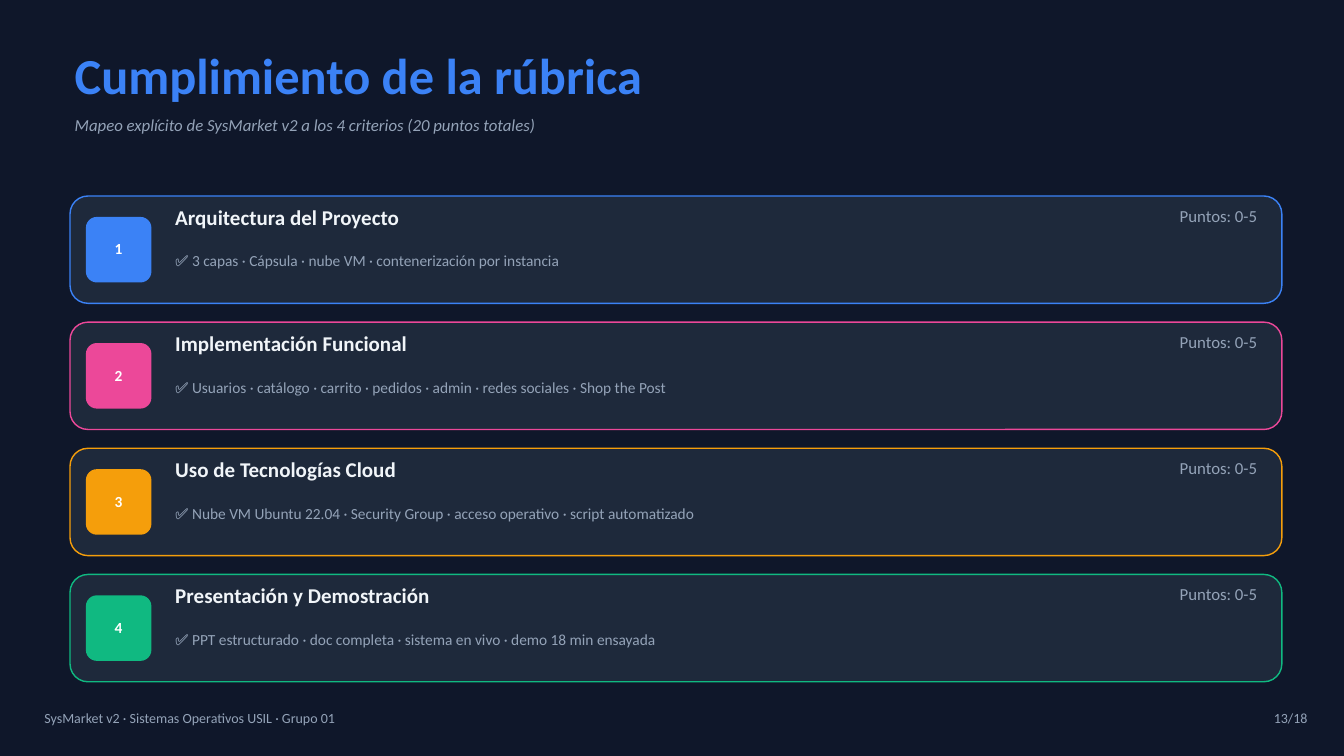
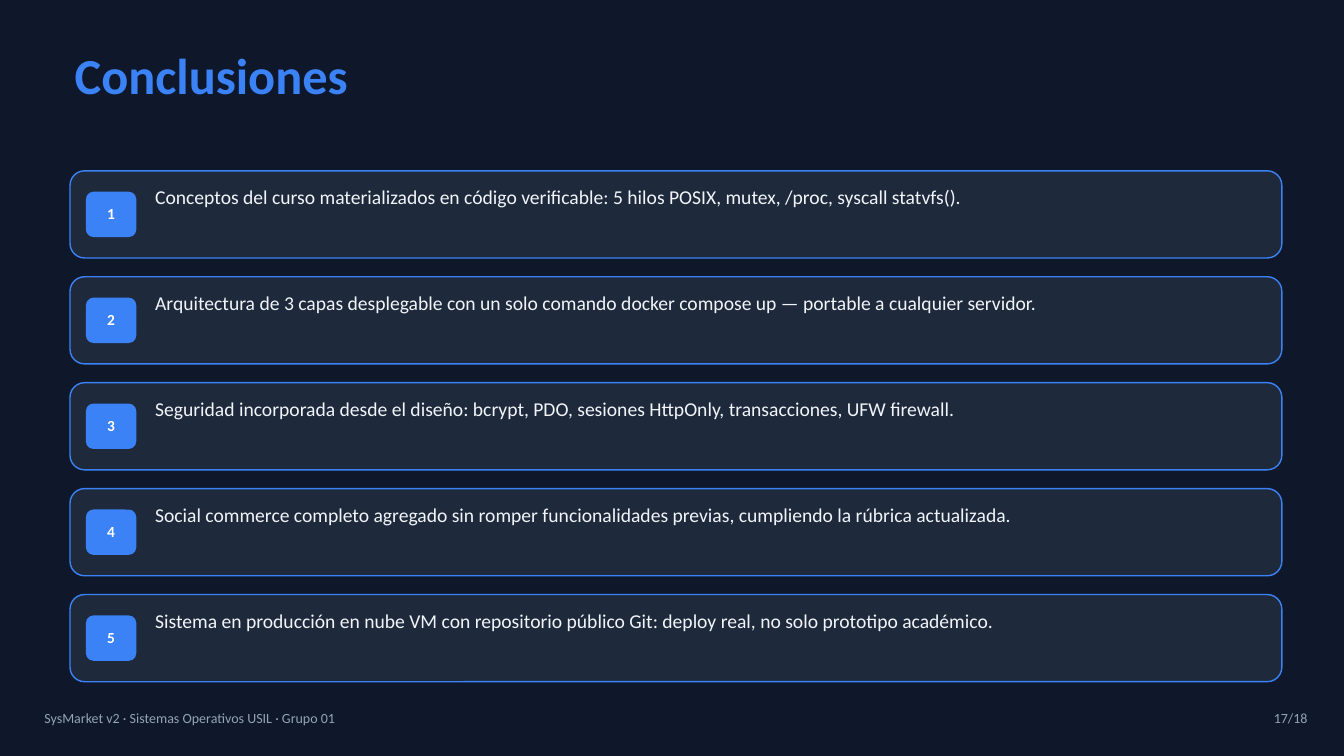
from pptx import Presentation
from pptx.dml.color import RGBColor
from pptx.enum.shapes import MSO_SHAPE
from pptx.enum.text import MSO_ANCHOR, PP_ALIGN
from pptx.util import Pt

ROUNDED = MSO_SHAPE.ROUNDED_RECTANGLE
TOP, MIDDLE = MSO_ANCHOR.TOP, MSO_ANCHOR.MIDDLE
LEFT, CENTER, RIGHT = PP_ALIGN.LEFT, PP_ALIGN.CENTER, PP_ALIGN.RIGHT

COLORS = {
    "background": "0F172A",
    "card": "1E293B",
    "blue": "3B82F6",
    "pink": "EC4899",
    "amber": "F59E0B",
    "green": "10B981",
    "text": "F1F5F9",
    "muted": "94A3B8",
    "white": "FFFFFF",
}
FONT = "Calibri"
LINE_HEIGHT = 1.2
TOTAL_SLIDES = 18
FOOTER = "SysMarket v2 · Sistemas Operativos USIL · Grupo 01"

CARD_X, CARD_W = 75, 1298.4
BADGE_DX, BADGE_DY = 17, 22.4

CRITERIA = [
    ("blue", "Arquitectura del Proyecto",
     "3 capas · Cápsula · nube VM · contenerización por instancia"),
    ("pink", "Implementación Funcional",
     "Usuarios · catálogo · carrito · pedidos · admin · redes sociales · Shop the Post"),
    ("amber", "Uso de Tecnologías Cloud",
     "Nube VM Ubuntu 22.04 · Security Group · acceso operativo · script automatizado"),
    ("green", "Presentación y Demostración",
     "PPT estructurado · doc completa · sistema en vivo · demo 18 min ensayada"),
]
CONCLUSIONS = [
    "Conceptos del curso materializados en código verificable: 5 hilos POSIX, mutex, /proc, syscall statvfs().",
    "Arquitectura de 3 capas desplegable con un solo comando docker compose up — portable a cualquier servidor.",
    "Seguridad incorporada desde el diseño: bcrypt, PDO, sesiones HttpOnly, transacciones, UFW firewall.",
    "Social commerce completo agregado sin romper funcionalidades previas, cumpliendo la rúbrica actualizada.",
    "Sistema en producción en nube VM con repositorio público Git: deploy real, no solo prototipo académico.",
]


def rgb(name):
    return RGBColor.from_string(COLORS[name])


def write(shape, text, size, color, bold=False, italic=False, align=LEFT,
          anchor=TOP, margins=(0, 0, 0, 0)):
    """Fill a shape with one run; margins are left, top, right, bottom."""
    tf = shape.text_frame
    tf.word_wrap = True
    tf.vertical_anchor = anchor
    tf.margin_left, tf.margin_top, tf.margin_right, tf.margin_bottom = map(Pt, margins)
    p = tf.paragraphs[0]
    p.alignment = align
    p.line_spacing = Pt(size * LINE_HEIGHT)
    r = p.add_run()
    r.text = text
    r.font.name = FONT
    r.font.size = Pt(size)
    r.font.bold = bold
    r.font.italic = italic
    r.font.color.rgb = rgb(color)


def add_text(s, x, y, w, h, text, size, color, **style):
    box = s.shapes.add_textbox(Pt(x), Pt(y), Pt(w), Pt(h))
    write(box, text, size, color, **style)


def add_rounded(s, x, y, w, h, radius, fill, line=None):
    sp = s.shapes.add_shape(ROUNDED, Pt(x), Pt(y), Pt(w), Pt(h))
    sp.adjustments[0] = radius / min(w, h)
    sp.shadow.inherit = False
    sp.fill.solid()
    sp.fill.fore_color.rgb = rgb(fill)
    if line:
        sp.line.color.rgb = rgb(line)
        sp.line.width = Pt(1.5)
    else:
        sp.line.fill.background()
    return sp


def add_numbered_card(s, number, y, h, radius, color, badge_w, badge_h):
    add_rounded(s, CARD_X, y, CARD_W, h, radius, "card", color)
    badge = add_rounded(s, CARD_X + BADGE_DX, y + BADGE_DY, badge_w, badge_h,
                        badge_h / 6, color)
    write(badge, str(number), 16.5, "white", bold=True, align=CENTER,
          anchor=MIDDLE, margins=(4, 4, 4, 6))


def add_base_slide(prs, title, number):
    """Add a slide with the shared background, title and footer."""
    s = prs.slides.add_slide(prs.slide_layouts[6])
    s.background.fill.solid()
    s.background.fill.fore_color.rgb = rgb("background")
    add_text(s, 80, 47, 1289, 70.5, title, 54, "blue", bold=True)
    add_text(s, 47.5, 760.3, 857, 43, FOOTER, 15, "muted")
    add_text(s, 1301, 760.3, 100, 43, f"{number}/{TOTAL_SLIDES}", 15, "muted",
             align=RIGHT)
    return s


def build_rubric(prs):
    s = add_base_slide(prs, "Cumplimiento de la rúbrica", 13)
    add_text(s, 80, 123, 1289, 43,
             "Mapeo explícito de SysMarket v2 a los 4 criterios (20 puntos totales)",
             18, "muted", italic=True)
    for i, (color, heading, evidence) in enumerate(CRITERIA):
        y = 210 + i * 135.15
        add_numbered_card(s, i + 1, y, 115, 19.2, color, 70.2, 70.2)
        add_text(s, 187.8, y + 8.8, 803, 44.6, heading, 22.5, "text", bold=True)
        add_text(s, 1031, y + 10.2, 316, 43, "Puntos: 0-5", 18, "muted", align=RIGHT)
        add_text(s, 187.8, y + 59.5, 1127, 53, "✅ " + evidence, 16.5, "muted")


def build_conclusions(prs):
    s = add_base_slide(prs, "Conclusiones", 17)
    for i, conclusion in enumerate(CONCLUSIONS):
        y = 183 + i * 113.5
        add_numbered_card(s, i + 1, y, 93.4, 15.6, "blue", 54, 48.6)
        add_text(s, 166.2, y + 15.2, 1148.4, 70.5, conclusion, 21, "text")


def main():
    prs = Presentation()
    prs.slide_width, prs.slide_height = Pt(1440), Pt(810)
    build_rubric(prs)
    build_conclusions(prs)
    prs.save("out.pptx")


if __name__ == "__main__":
    main()
